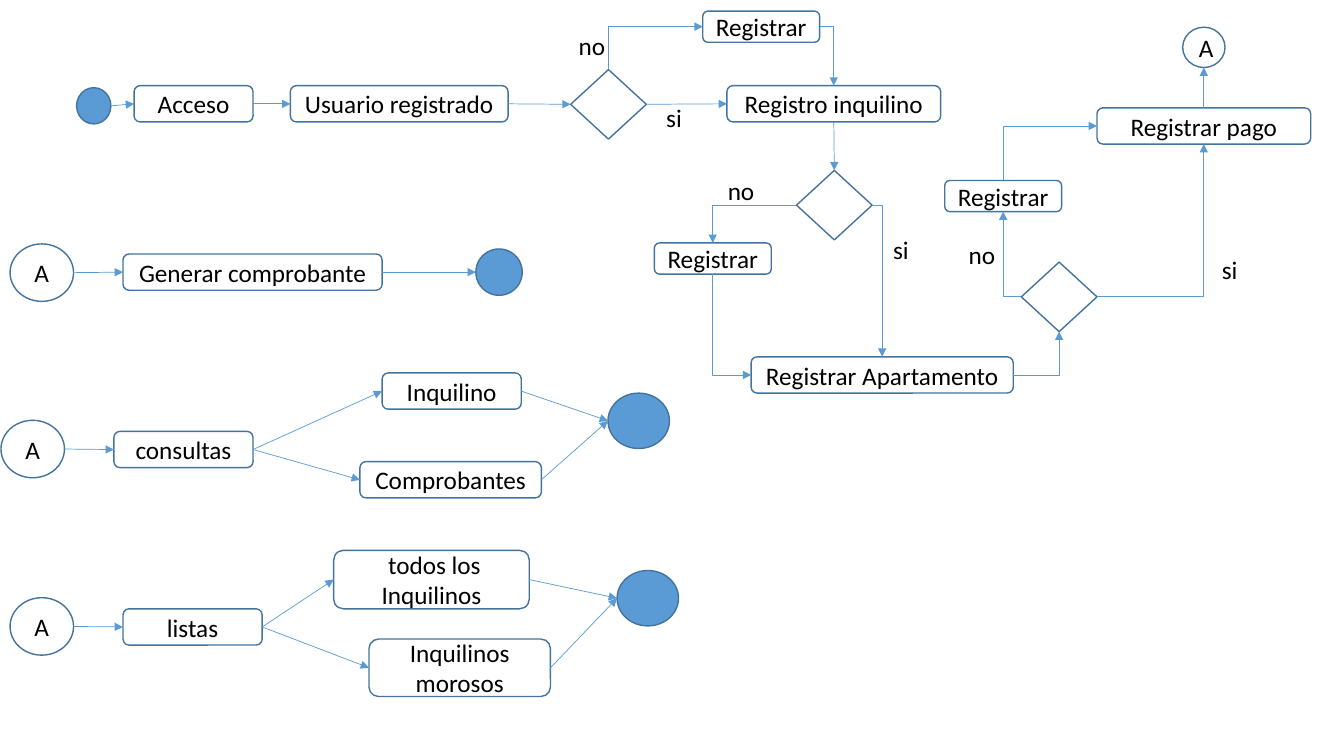
from dataclasses import dataclass

from pptx import Presentation
from pptx import util as u
from pptx.dml.color import RGBColor
from pptx.enum import shapes, text
from pptx.oxml.ns import qn
from pptx.oxml.xmlchemy import OxmlElement

KINDS = shapes.MSO_SHAPE
SIDES = ("top", "left", "bottom", "right")


@dataclass(frozen=True)
class Theme:
    font: str = "Calibri"
    text_size: float = 18
    outline_width: float = 1
    arrow_width: float = 0.5
    ink: RGBColor = RGBColor(0, 0, 0)
    paper: RGBColor = RGBColor(255, 255, 255)
    accent: RGBColor = RGBColor.from_string("5B9BD5")
    outline: RGBColor = RGBColor.from_string("43739E")


class FlowChart:
    def __init__(self, slide, theme):
        self.slide = slide
        self.theme = theme

    def set_text(self, shape, words, alignment):
        shape.text_frame.text = words
        for paragraph in shape.text_frame.paragraphs:
            paragraph.alignment = alignment
            for run in paragraph.runs:
                run.font.name = self.theme.font
                run.font.size = u.Pt(self.theme.text_size)
                run.font.color.rgb = self.theme.ink

    def node(self, kind, left, top, width, height, words="", fill=None):
        shape = self.slide.shapes.add_shape(
            kind, u.Inches(left), u.Inches(top), u.Inches(width), u.Inches(height))
        shape.shadow.inherit = False
        shape.fill.solid()
        shape.fill.fore_color.rgb = fill or self.theme.paper
        shape.line.color.rgb = self.theme.outline
        shape.line.width = u.Pt(self.theme.outline_width)
        if words:
            shape.text_frame.vertical_anchor = text.MSO_ANCHOR.MIDDLE
            self.set_text(shape, words, text.PP_ALIGN.CENTER)
        return shape

    def step(self, words, left, top, width, height=0.36):
        return self.node(KINDS.ROUNDED_RECTANGLE, left, top, width, height, words)

    def register(self, left, top):
        return self.step("Registrar", left, top, 1.16, 0.31)

    def decision(self, left, top):
        return self.node(KINDS.DIAMOND, left, top, 0.75, 0.69)

    def link_point(self, left, top, width=0.63, height=0.57):
        return self.node(KINDS.OVAL, left, top, width, height, "A")

    def terminal(self, left, top, width=0.61, height=0.55):
        return self.node(KINDS.OVAL, left, top, width, height, fill=self.theme.accent)

    def label(self, words, left, top, width):
        box = self.slide.shapes.add_textbox(
            u.Inches(left), u.Inches(top), u.Inches(width), u.Inches(0.4))
        box.text_frame.word_wrap = False
        box.text_frame.auto_size = text.MSO_AUTO_SIZE.SHAPE_TO_FIT_TEXT
        self.set_text(box, words, text.PP_ALIGN.LEFT)

    def no(self, left, top):
        self.label("no", left, top, 0.47)

    def yes(self, left, top):
        self.label("si", left, top, 0.36)

    def side_point(self, shape, side):
        x = {"left": 0, "right": shape.width}.get(side, shape.width // 2)
        y = {"top": 0, "bottom": shape.height}.get(side, shape.height // 2)
        return shape.left + x, shape.top + y

    def glue(self, connector, tag, shape, side):
        sites_per_side = 2 if shape.auto_shape_type == KINDS.OVAL else 1
        link = OxmlElement(tag)
        link.set("id", str(shape.shape_id))
        link.set("idx", str(SIDES.index(side) * sites_per_side))
        connector._element.nvCxnSpPr.cNvCxnSpPr.append(link)

    def connect(self, source, target, leave="right", enter="left", bent=False):
        x1, y1 = self.side_point(source, leave)
        x2, y2 = self.side_point(target, enter)
        upright = bent and leave in ("top", "bottom")
        if upright:
            middle_x, middle_y = (x1 + x2) // 2, (y1 + y2) // 2
            half_x, half_y = (x2 - x1) // 2, (y2 - y1) // 2
            x1, y1 = middle_x - half_y, middle_y + half_x
            x2, y2 = middle_x + half_y, middle_y - half_x
        kind = shapes.MSO_CONNECTOR.ELBOW if bent else shapes.MSO_CONNECTOR.STRAIGHT
        connector = self.slide.shapes.add_connector(kind, x1, y1, x2, y2)
        connector.line.color.rgb = self.theme.accent
        connector.line.width = u.Pt(self.theme.arrow_width)
        properties = connector._element.spPr
        if bent:
            properties.find(qn("a:prstGeom")).set("prst", "bentConnector2")
        if upright:
            properties.find(qn("a:xfrm")).set("rot", "5400000")
        arrowhead = OxmlElement("a:tailEnd")
        arrowhead.set("type", "triangle")
        properties.find(qn("a:ln")).append(arrowhead)
        properties.append(OxmlElement("a:effectLst"))
        self.glue(connector, "a:stCxn", source, leave)
        self.glue(connector, "a:endCxn", target, enter)

    def branch(self, start, step, options, end):
        self.connect(start, step)
        for option in options:
            self.connect(step, option)
            self.connect(option, end)


def draw_registration(chart):
    start = chart.terminal(0.76, 0.87, 0.34, 0.36)
    access = chart.step("Acceso", 1.33, 0.85, 1.18)
    user = chart.step("Usuario registrado", 2.88, 0.85, 2.16)
    user_check = chart.decision(5.66, 0.69)
    new_user = chart.register(6.97, 0.11)
    tenant = chart.step("Registro inquilino", 7.21, 0.85, 2.12)
    tenant_check = chart.decision(7.9, 1.69)
    new_tenant = chart.register(6.49, 2.41)
    apartment = chart.step("Registrar Apartamento", 7.45, 3.54, 2.6)
    apartment_check = chart.decision(10.13, 2.6)
    new_apartment = chart.register(9.37, 1.79)
    payment = chart.step("Registrar pago", 10.88, 1.07, 2.12)
    exit_point = chart.link_point(11.73, 0.27, 0.42, 0.4)

    for source, target in ((start, access), (access, user),
                           (user, user_check), (user_check, tenant)):
        chart.connect(source, target)
    chart.connect(tenant, tenant_check, "bottom", "top")
    chart.connect(payment, exit_point, "top", "bottom")
    for source, leave, target, enter in (
        (user_check, "top", new_user, "left"),
        (new_user, "right", tenant, "top"),
        (tenant_check, "left", new_tenant, "top"),
        (new_tenant, "bottom", apartment, "left"),
        (tenant_check, "right", apartment, "top"),
        (apartment, "right", apartment_check, "bottom"),
        (apartment_check, "left", new_apartment, "bottom"),
        (apartment_check, "right", payment, "bottom"),
        (new_apartment, "top", payment, "left"),
    ):
        chart.connect(source, target, leave, enter, bent=True)

    for left, top in ((5.64, 0.25), (7.12, 1.69), (9.51, 2.33)):
        chart.no(left, top)
    for left, top in ((6.51, 0.97), (8.76, 2.28), (12.02, 2.47)):
        chart.yes(left, top)


def draw_outcomes(chart):
    receipt = chart.step("Generar comprobante", 1.22, 2.52, 2.57)
    chart.connect(chart.link_point(0.1, 2.42), receipt)
    chart.connect(receipt, chart.terminal(4.72, 2.47, 0.46, 0.46))

    chart.branch(
        chart.link_point(0.01, 4.17),
        chart.step("consultas", 1.13, 4.28, 1.38),
        (chart.step("Inquilino", 3.79, 3.7, 1.38),
         chart.step("Comprobantes", 3.57, 4.58, 1.8)),
        chart.terminal(6.03, 3.9))
    chart.branch(
        chart.link_point(0.1, 5.93),
        chart.step("listas", 1.22, 6.04, 1.38),
        (chart.step(" todos los Inquilinos", 3.31, 5.46, 1.94, 0.58),
         chart.step("Inquilinos morosos", 3.66, 6.34, 1.8, 0.57)),
        chart.terminal(6.12, 5.66))


def main():
    presentation = Presentation()
    presentation.slide_width = u.Inches(13.33)
    presentation.slide_height = u.Inches(7.5)
    slide = presentation.slides.add_slide(presentation.slide_layouts[6])
    chart = FlowChart(slide, Theme())
    draw_registration(chart)
    draw_outcomes(chart)
    presentation.save("out.pptx")


if __name__ == "__main__":
    main()
